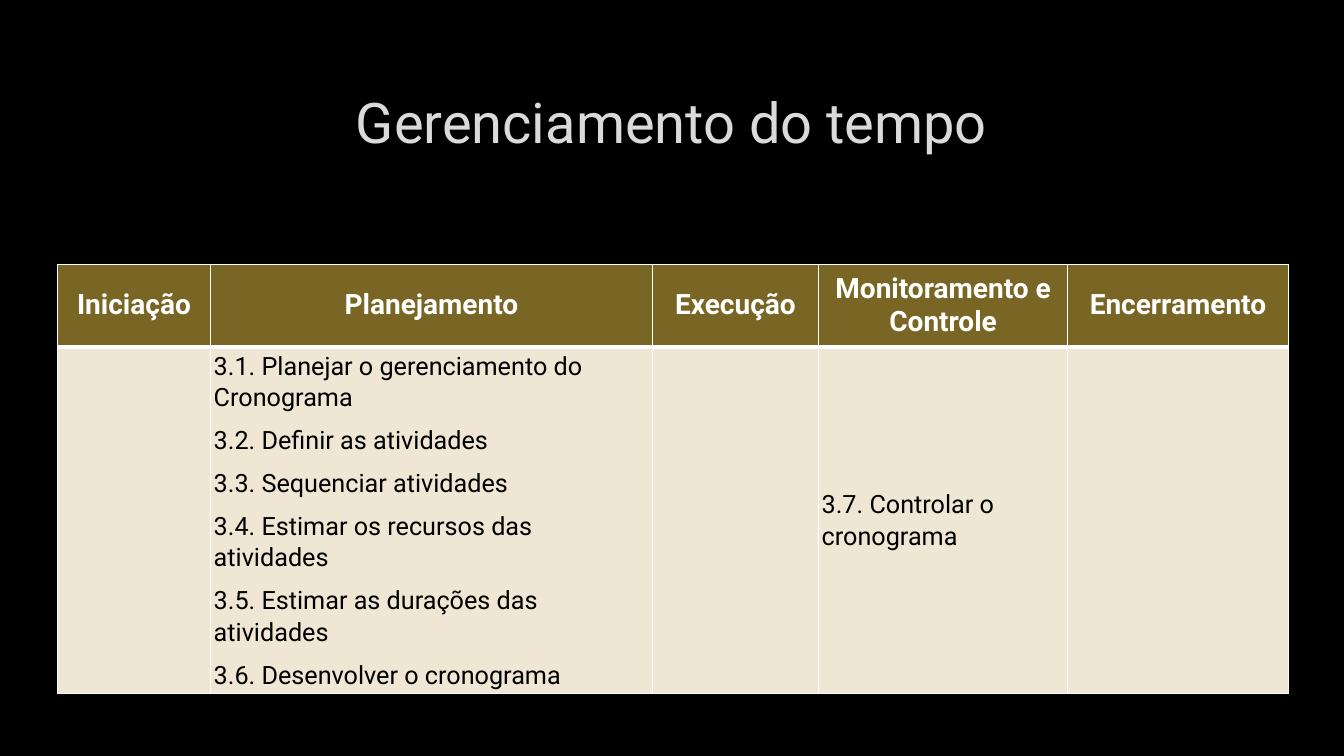
from lxml.etree import SubElement
from pptx import Presentation
from pptx.dml.color import RGBColor
from pptx.enum.text import MSO_ANCHOR as Anchor, PP_ALIGN as Align
from pptx.oxml.ns import qn
from pptx.util import Inches, Pt

FONT = "Roboto"
COLORS = {
    "background": "000000",
    "title": "DADADA",
    "header": "7A6624",
    "body": "EFE7D4",
    "header_text": "FFFFFF",
    "body_text": "000000",
    "border": "FFFFFF",
}
COLUMN_WIDTHS = [1.52, 4.38, 1.65, 2.47, 2.19]
ROW_HEIGHTS = [0.82, 3.44]
PHASES = {
    "Iniciação": [],
    "Planejamento": [
        "3.1. Planejar o gerenciamento do Cronograma",
        "3.2. Definir as atividades",
        "3.3. Sequenciar atividades",
        "3.4. Estimar os recursos das atividades",
        "3.5. Estimar as durações das atividades",
        "3.6. Desenvolver o cronograma",
    ],
    "Execução": [],
    "Monitoramento e Controle": ["3.7. Controlar o cronograma"],
    "Encerramento": [],
}


def color(name):
    """Return the named palette colour."""
    return RGBColor.from_string(COLORS[name])


def format_text(paragraph, size, color_name, bold=False):
    """Apply font, size, colour and weight to the runs of a paragraph."""
    for run in paragraph.runs:
        run.font.name = FONT
        run.font.size = Pt(size)
        run.font.bold = bold
        run.font.color.rgb = color(color_name)


def style_cell(cell, fill_name, bottom_width=1, top_width=1):
    """Give a cell its borders, fill and vertical centring."""
    properties = cell._tc.get_or_add_tcPr()
    widths = {"a:lnL": 1, "a:lnR": 1, "a:lnT": top_width, "a:lnB": bottom_width}
    for tag, width in widths.items():
        line = SubElement(properties, qn(tag), w=str(Pt(width)))
        fill = SubElement(line, qn("a:solidFill"))
        SubElement(fill, qn("a:srgbClr"), val=COLORS["border"])
    cell.fill.solid()
    cell.fill.fore_color.rgb = color(fill_name)
    cell.vertical_anchor = Anchor.MIDDLE


def add_title(slide, text, left, top, width, height):
    """Place the centred slide title in its box."""
    title = slide.shapes.title
    title.left, title.top = Inches(left), Inches(top)
    title.width, title.height = Inches(width), Inches(height)
    title.text_frame.text = text
    title.text_frame.vertical_anchor = Anchor.MIDDLE
    paragraph = title.text_frame.paragraphs[0]
    paragraph.alignment = Align.CENTER
    format_text(paragraph, 40, "title")


def fill_header(cell, phase):
    """Write a phase name into a header cell."""
    style_cell(cell, "header", bottom_width=3)
    cell.text_frame.text = phase
    paragraph = cell.text_frame.paragraphs[0]
    paragraph.alignment = Align.CENTER
    format_text(paragraph, 20, "header_text", bold=True)


def fill_processes(cell, processes):
    """List the processes of a phase in a body cell."""
    style_cell(cell, "body", top_width=3)
    cell.margin_left = cell.margin_right = Inches(0.03)
    cell.margin_top = cell.margin_bottom = Inches(0.03)
    cell.text_frame.text = "\n".join(processes)
    for paragraph in cell.text_frame.paragraphs:
        paragraph.line_spacing = 1.07
        paragraph.space_after = Pt(8)
        format_text(paragraph, 18, "body_text")


def add_phase_table(slide, left, top):
    """Build the table of processes by project phase."""
    frame = slide.shapes.add_table(
        len(ROW_HEIGHTS), len(PHASES), Inches(left), Inches(top),
        Inches(sum(COLUMN_WIDTHS)), Inches(sum(ROW_HEIGHTS)))
    table = frame.table
    for column, width in zip(table.columns, COLUMN_WIDTHS):
        column.width = Inches(width)
    for row, height in zip(table.rows, ROW_HEIGHTS):
        row.height = Inches(height)
    for index, (phase, processes) in enumerate(PHASES.items()):
        fill_header(table.cell(0, index), phase)
        fill_processes(table.cell(1, index), processes)


def main():
    """Create the time management slide."""
    presentation = Presentation()
    presentation.slide_width = Inches(13.33)
    presentation.slide_height = Inches(7.5)
    slide = presentation.slides.add_slide(presentation.slide_layouts[5])
    slide.background.fill.solid()
    slide.background.fill.fore_color.rgb = color("background")
    add_title(slide, "Gerenciamento do tempo", 1, 0.67, 11.32, 1.06)
    add_phase_table(slide, 0.57, 2.62)
    presentation.save("out.pptx")


if __name__ == "__main__":
    main()
